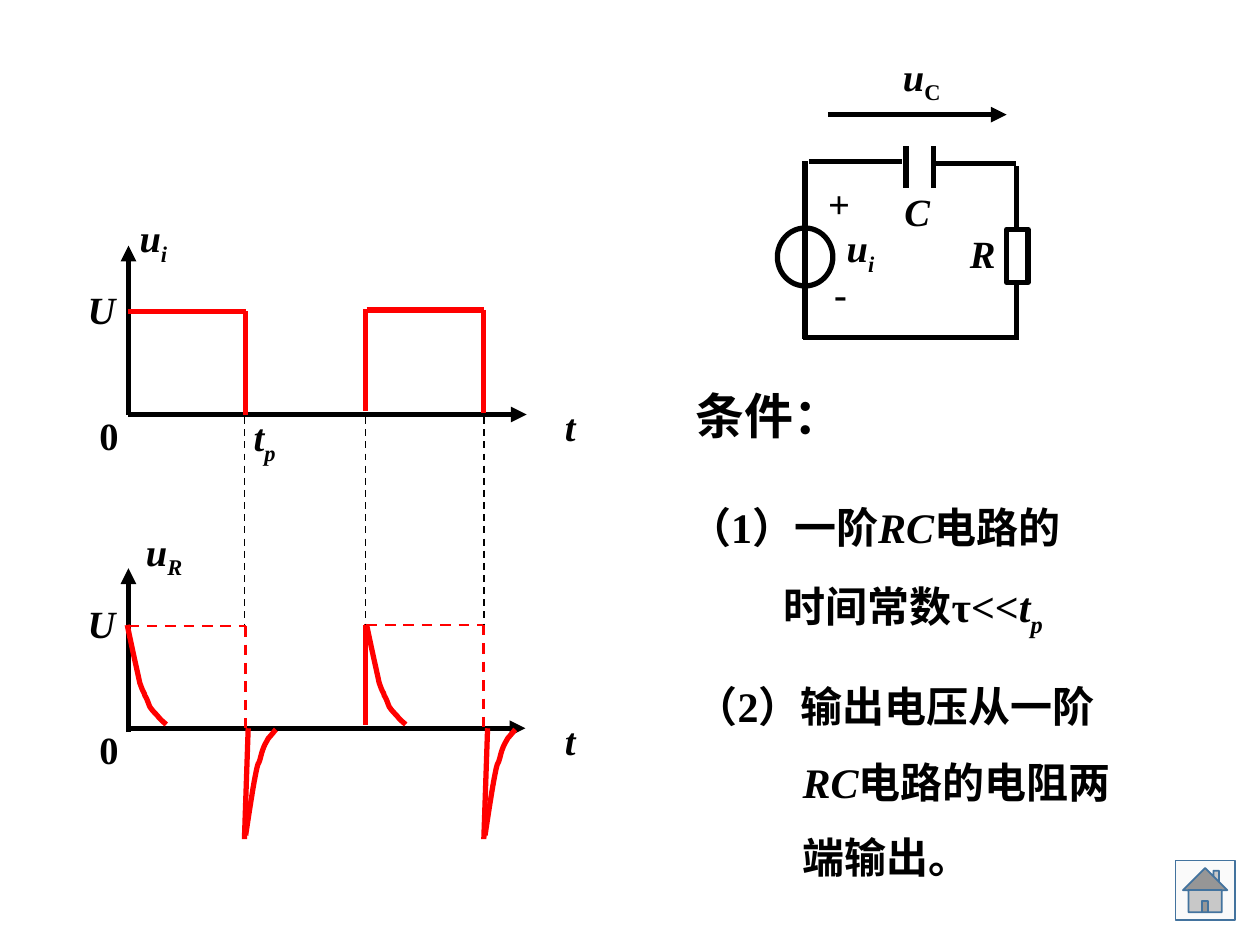
"""Build the slide on the RC differentiating circuit and its waveforms."""
from lxml.etree import SubElement
from pptx import Presentation
from pptx.dml.color import RGBColor
from pptx.enum.dml import MSO_LINE
from pptx.enum.shapes import MSO_CONNECTOR, MSO_SHAPE
from pptx.enum.text import MSO_ANCHOR, MSO_AUTO_SIZE, PP_ALIGN
from pptx.oxml.ns import qn
from pptx.util import Inches, Pt

BLACK = RGBColor(0, 0, 0)
WHITE = RGBColor(255, 255, 255)
RED = RGBColor(255, 0, 0)
BLUE = RGBColor(0x43, 0x73, 0x9E)
PALE = RGBColor(0xFA, 0xFA, 0xFA)

FRAME = {"word_wrap": True, "auto_size": MSO_AUTO_SIZE.NONE,
         "vertical_anchor": MSO_ANCHOR.TOP}
DECAY = [(0, 0), (.04, .19), (.08, .37), (.1, .46), (.13, .55), (.13, .52),
         (.14, .56), (.16, .59), (.17, .63), (.18, .65), (.2, .68), (.22, .7),
         (.24, .72), (.26, .75), (.3, .78), (.31, .79)]
RECOVERY = [(0, 0), (.03, -.2), (.06, -.39), (.08, -.49), (.1, -.59), (.1, -.56),
            (.11, -.59), (.12, -.62), (.13, -.67), (.14, -.69), (.15, -.72),
            (.17, -.75), (.18, -.77), (.2, -.79), (.23, -.83), (.24, -.84)]


def set_all(obj, values):
    """Set each attribute of obj from a dict."""
    for name, value in values.items():
        setattr(obj, name, value)


def place(shape, box):
    """Move and size a shape in inches."""
    set_all(shape, dict(zip(("left", "top", "width", "height"), map(Inches, box))))


def add_runs(p, runs, size):
    """Add (text, style) runs: i is italic, s is subscript, None is a line break."""
    for run in runs:
        if run is None:
            p.add_line_break()
            continue
        text, style = run
        r = p.add_run()
        r.text = text
        set_all(r.font, {"name": "Times New Roman", "size": Pt(size),
                         "bold": True, "italic": "i" in style})
        r.font.color.rgb = BLACK
        if "s" in style:
            r.font._element.set("baseline", "-25000")


def add_label(s, box, *runs, align=PP_ALIGN.CENTER):
    """Add a short symbol beside the drawing."""
    tf = s.shapes.add_textbox(*map(Inches, box)).text_frame
    set_all(tf, FRAME)
    tf.paragraphs[0].alignment = align
    add_runs(tf.paragraphs[0], runs, 22)


def fill_title(s, box, text):
    """Place the heading in the title placeholder."""
    title = s.shapes.title
    place(title, box)
    set_all(title.text_frame, FRAME)
    p = title.text_frame.paragraphs[0]
    p.alignment = PP_ALIGN.LEFT
    add_runs(p, [(text, "")], 28)


def fill_condition(shape, box, indent, runs):
    """Place one condition with a hanging indent in a body placeholder."""
    place(shape, box)
    set_all(shape.text_frame, FRAME)
    p = shape.text_frame.paragraphs[0]
    pPr = p._p.get_or_add_pPr()
    pPr.set("marL", str(Inches(indent)))
    pPr.set("indent", str(-Inches(indent)))
    SubElement(pPr, qn("a:buNone"))
    set_all(p, {"line_spacing": 1.5, "space_before": Pt(0), "alignment": PP_ALIGN.LEFT})
    add_runs(p, runs, 24)


def add_line(s, x1, y1, x2, y2, color=BLACK, width=3, dash=False, arrow=False):
    """Add a straight line, dashed or with an arrowhead if asked."""
    c = s.shapes.add_connector(MSO_CONNECTOR.STRAIGHT, *map(Inches, (x1, y1, x2, y2)))
    c.line.color.rgb = color
    c.line.width = Pt(width)
    if dash:
        c.line.dash_style = MSO_LINE.DASH
    if arrow:
        SubElement(c.line._get_or_add_ln(), qn("a:tailEnd"), type="triangle")
    SubElement(c._element.spPr, qn("a:effectLst"))


def add_shape(s, kind, box, fill, line=BLACK, width=3):
    """Add a preset shape, hollow when fill is None."""
    shape = s.shapes.add_shape(kind, *map(Inches, box))
    shape.shadow.inherit = False
    if fill is None:
        shape.fill.background()
    else:
        shape.fill.solid()
        shape.fill.fore_color.rgb = fill
    shape.line.color.rgb = line
    shape.line.width = Pt(width)


def add_curve(s, x, y, points, steps=6):
    """Add a red open curve through chained cubic segments starting at x, y."""
    path = [points[0]]
    for i in range(0, len(points) - 1, 3):
        a, b, c, d = points[i:i + 4]
        for t in (n / steps for n in range(1, steps + 1)):
            u = 1 - t
            path.append(tuple(u**3 * a[k] + 3 * u * u * t * b[k]
                              + 3 * u * t * t * c[k] + t**3 * d[k] for k in (0, 1)))
    path = [(Inches(x + dx), Inches(y + dy)) for dx, dy in path]
    builder = s.shapes.build_freeform(*path[0])
    builder.add_line_segments(path[1:], close=False)
    curve = builder.convert_to_shape()
    curve.shadow.inherit = False
    curve.fill.background()
    curve.line.color.rgb = RED
    curve.line.width = Pt(3)


def draw_circuit(s):
    """Draw the source, capacitor and resistor loop."""
    add_shape(s, MSO_SHAPE.RECTANGLE, (7.99, 1.82, .17, .42), None)
    add_shape(s, MSO_SHAPE.OVAL, (6.17, 1.81, .44, .46), WHITE)
    for wire in ((8.07, 1.32, 8.07, 1.82), (8.07, 2.24, 8.07, 2.68),
                 (6.37, 2.68, 8.09, 2.68), (6.39, 1.28, 6.39, 2.69),
                 (6.42, 1.28, 7.16, 1.28), (7.4, 1.3, 8.06, 1.3),
                 (7.19, 1.16, 7.19, 1.49), (7.41, 1.16, 7.41, 1.49)):
        add_line(s, *wire)
    add_line(s, 6.57, .91, 7.99, .91, arrow=True)
    add_label(s, (6.94, .37, .75, .47), ("u", "i"), ("C", "s"))
    add_label(s, (6.73, 1.44, 1.1, .47), ("C", "i"))
    add_label(s, (7.25, 1.78, 1.1, .47), ("R", "i"))
    add_label(s, (6.43, 1.38, .46, .47), ("+", ""))
    add_label(s, (6.38, 2.09, .58, .47), ("-", ""))
    add_label(s, (6.6, 1.73, .46, .47), ("u", "i"), ("i", "is"))


def draw_axes(s, y, bottom, top, end, name_x, sub):
    """Draw a pair of axes with their labels."""
    add_line(s, 1.02, y, end, y, arrow=True)
    add_line(s, 1.02, bottom, 1.02, top, arrow=True)
    add_label(s, (.46, y - 1.07, .69, .47), ("U", "i"))
    add_label(s, (4.17, y - .14, .71, .47), ("t", "i"))
    add_label(s, (.69, y - .07, .63, .47), ("0", ""), align=PP_ALIGN.LEFT)
    add_label(s, (name_x, y - 1.64, .87, .47), ("u", "i"), (sub, "is"),
              align=PP_ALIGN.LEFT)


def draw_pulses(s, top, bottom, **style):
    """Draw the outline of the two rectangular pulses."""
    for left, right, lift in ((1.02, 1.95, 0), (2.91, 3.84, .01)):
        add_line(s, left, top - lift, right, top - lift, RED, **style)
        add_line(s, right, top - lift, right, bottom - lift, RED, **style)
    add_line(s, 2.9, top - .02, 2.9, bottom - .03, RED, **style)


def draw_waveforms(s):
    """Draw the input pulses above the resistor voltage."""
    draw_axes(s, 3.29, 3.29, 1.95, 4.18, 1.01, "i")
    draw_pulses(s, 2.47, 3.29)
    add_label(s, (1.39, 3.23, 1.42, .47), ("t", "i"), ("p", "is"))
    draw_axes(s, 5.78, 5.81, 4.51, 4.17, 1.06, "R")
    draw_pulses(s, 4.97, 5.78, width=1.5, dash=True)
    for x in (1.94, 2.9, 3.84):
        add_line(s, x, 3.31, x, 4.96, width=1, dash=True)
    for x in (1.01, 2.91):
        add_curve(s, x, 4.96, DECAY)
        add_curve(s, x + .94, 6.63, RECOVERY)
        add_line(s, x + .96, 5.78, x + .93, 6.66, RED)
    add_line(s, 2.9, 4.96, 2.9, 5.75, RED)


def main():
    """Build and save the slide."""
    prs = Presentation()
    prs.slide_width, prs.slide_height = Inches(10), Inches(7.5)
    s = prs.slides.add_slide(prs.slide_layouts[3])
    fill_title(s, (5.42, 3.01, 3.7, .57), "条件：")
    fill_condition(s.placeholders[1], (5.37, 3.73, 3.49, 1.31), .75,
                   [("（1）一阶", ""), ("RC", "i"), ("电路的", ""), None,
                    ("时间常数τ<<", ""), ("t", "i"), ("p", "is")])
    fill_condition(s.placeholders[2], (5.42, 5.15, 3.87, 1.92), .85,
                   [("（2）输出电压从一阶", ""), None, ("RC", "i"),
                    ("电路的电阻两", ""), None, ("端输出。", "")])
    draw_circuit(s)
    draw_waveforms(s)
    add_shape(s, MSO_SHAPE.ACTION_BUTTON_HOME, (9.33, 6.83, .47, .47), PALE, BLUE, 1)
    prs.save("out.pptx")


if __name__ == "__main__":
    main()
